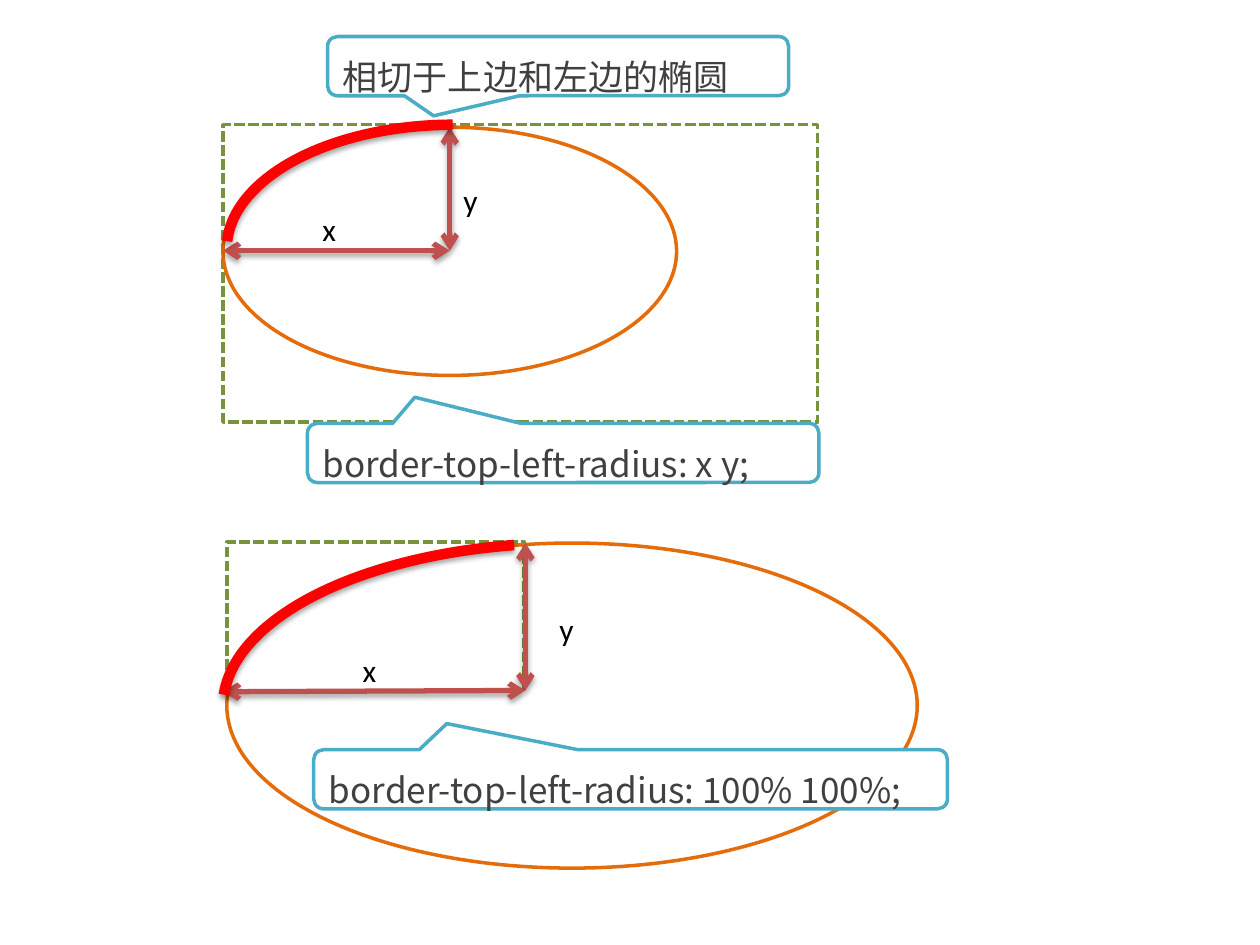
from lxml.etree import SubElement
from pptx import Presentation
from pptx.dml.color import RGBColor
from pptx.enum.dml import MSO_LINE
from pptx.enum.shapes import MSO_CONNECTOR, MSO_SHAPE
from pptx.enum.text import MSO_ANCHOR, MSO_AUTO_SIZE, PP_ALIGN
from pptx.oxml.ns import qn
from pptx.util import Inches, Pt

COLORS = {
    "paper": "FFFFFF",
    "box": "77933C",
    "ellipse": "E46C0A",
    "radius": "C0504D",
    "callout": "4BACC6",
    "corner": "FF0000",
    "code": "404040",
    "label": "000000",
}
COLS, ROWS = 100, 75
CELL = Inches(10) // COLS


def grid(*cells):
    return [round(c * CELL) for c in cells]


def rgb(name):
    return RGBColor.from_string(COLORS[name])


def set_line(line, color, width):
    line.color.rgb = rgb(color)
    line.width = Pt(width)


def add_shadow(sp):
    effects = SubElement(sp._element.spPr, qn("a:effectLst"))
    shadow = SubElement(effects, qn("a:outerShdw"), blurRad=str(Pt(3.1)),
                        dist=str(Pt(1.8)), dir="5400000", rotWithShape="0")
    black = SubElement(shadow, qn("a:srgbClr"), val="000000")
    SubElement(black, qn("a:alpha"), val="35000")


def add_outline(slide, kind, area, color, width=2, fill=None):
    sp = slide.shapes.add_shape(kind, *grid(*area))
    if fill:
        sp.fill.solid()
        sp.fill.fore_color.rgb = rgb(fill)
    else:
        sp.fill.background()
    set_line(sp.line, color, width)
    return sp


def add_box(slide, area):
    sp = add_outline(slide, MSO_SHAPE.RECTANGLE, area, "box")
    sp.shadow.inherit = False
    sp.line.dash_style = MSO_LINE.SQUARE_DOT


def add_ellipse(slide, area, fill=None):
    sp = add_outline(slide, MSO_SHAPE.OVAL, area, "ellipse", fill=fill)
    sp.shadow.inherit = False


def add_corner_arc(slide, area, start, end):
    sp = add_outline(slide, MSO_SHAPE.ARC, area, "corner", 6)
    sp.adjustments[0], sp.adjustments[1] = start, end
    add_shadow(sp)


def add_radius(slide, start, end):
    line = slide.shapes.add_connector(MSO_CONNECTOR.STRAIGHT, *grid(*start, *end))
    set_line(line.line, "radius", 3)
    ln = line.line._get_or_add_ln()
    for tag in ("a:headEnd", "a:tailEnd"):
        SubElement(ln, qn(tag), type="arrow")
    add_shadow(line)


def set_text(sp, text, font, size, color):
    p = sp.text_frame.paragraphs[0]
    r = p.add_run()
    r.text = text
    r.font.language_id = None
    p.alignment = PP_ALIGN.LEFT
    p.font.name, p.font.size = font, Pt(size)
    p.font.color.rgb = rgb(color)
    return p


def add_label(slide, text, left, top):
    sp = slide.shapes.add_textbox(*grid(left, top, 4.1, 4))
    sp.text_frame.word_wrap = True
    sp.text_frame.auto_size = MSO_AUTO_SIZE.SHAPE_TO_FIT_TEXT
    set_text(sp, text, "Calibri", 18, "label")


def add_callout(slide, text, left, top, width, tip):
    sp = add_outline(slide, MSO_SHAPE.ROUNDED_RECTANGULAR_CALLOUT,
                     (left, top, width, 4.7), "callout", fill="paper")
    sp.shadow.inherit = False
    sp.adjustments[0], sp.adjustments[1] = tip
    sp.text_frame.word_wrap = True
    sp.text_frame.vertical_anchor = MSO_ANCHOR.MIDDLE
    p = set_text(sp, text, "Noto Sans CJK SC", 20, "code")
    p.line_spacing = 1.5
    ea = SubElement(p.font._element, qn("a:ea"))
    ea.set("typeface", "Noto Sans CJK SC")


def add_radii(slide, top, center, left, y_label, x_label):
    add_radius(slide, top, center)
    add_radius(slide, center, left)
    add_label(slide, "y", *y_label)
    add_label(slide, "x", *x_label)


def main():
    prs = Presentation()
    prs.slide_width, prs.slide_height = grid(COLS, ROWS)
    slide = prs.slides.add_slide(prs.slide_layouts[6])
    below = (-0.29, -0.94)

    add_box(slide, (17.7, 9.9, 47.2, 23.6))
    add_ellipse(slide, (17.7, 10.1, 36, 19.7), fill="paper")
    add_radii(slide, (35.7, 10.1), (35.7, 19.9), (17.7, 19.9),
              (35.8, 13.9), (24.6, 16.2))
    add_callout(slide, "border-top-left-radius: x y;", 24.4, 33.6, 40.6, below)

    add_box(slide, (18, 43, 23.6, 11.8))
    add_ellipse(slide, (18, 43.1, 54.8, 25.8))
    add_callout(slide, "border-top-left-radius: 100% 100%;", 24.9, 59.5, 50.3, below)
    add_radii(slide, (41.7, 43.1), (41.7, 54.8), (17.7, 54.9),
              (43.4, 47.9), (27.8, 51.2))

    add_callout(slide, "相切于上边和左边的椭圆", 26, 2.9, 36.6, (-0.27, 0.84))
    add_corner_arc(slide, (17.7, 43.1, 54.8, 25.9), 109.15, 150.85)
    add_corner_arc(slide, (18, 9.9, 36, 19.7), 109.15, 161.73)

    prs.save("out.pptx")


if __name__ == "__main__":
    main()
